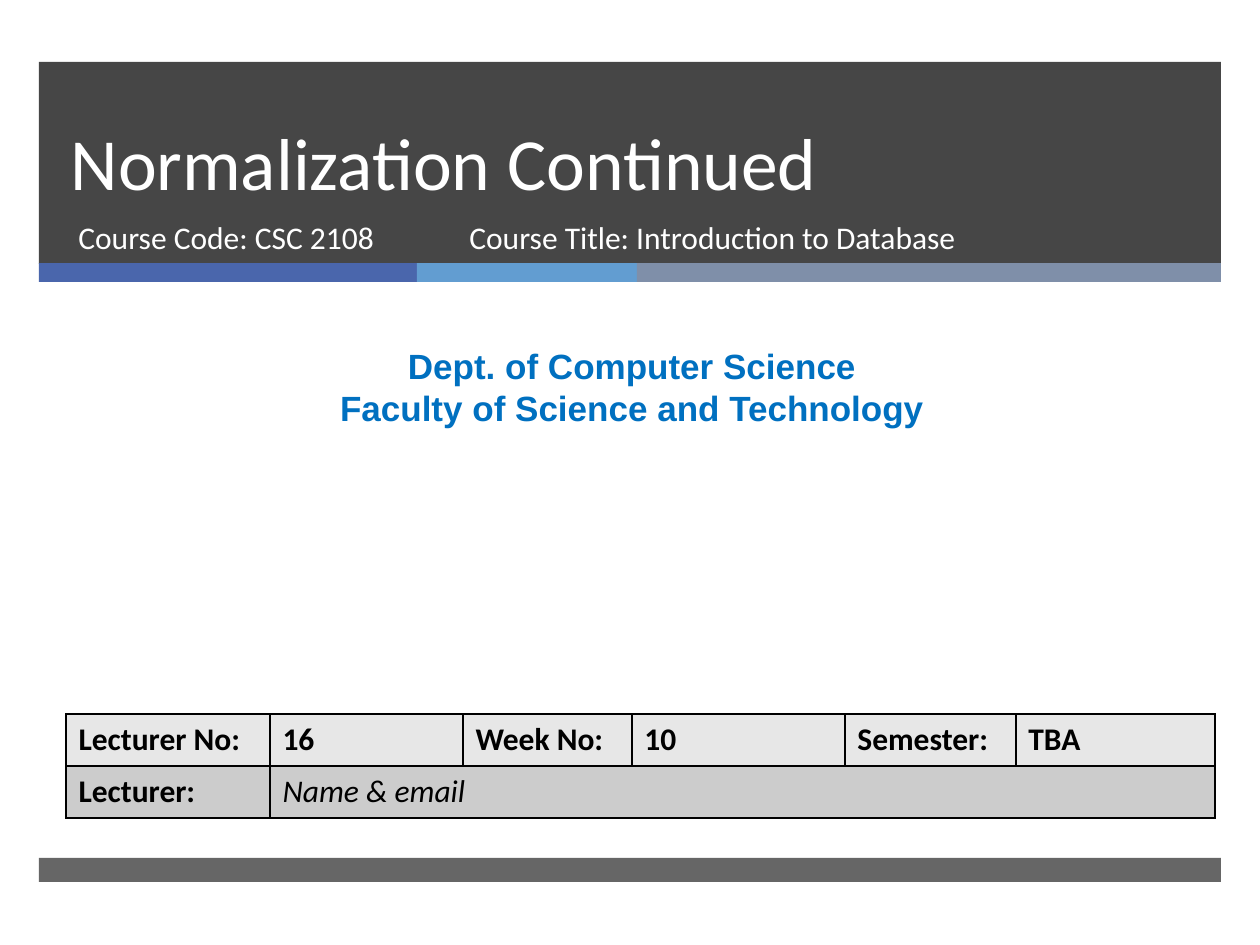
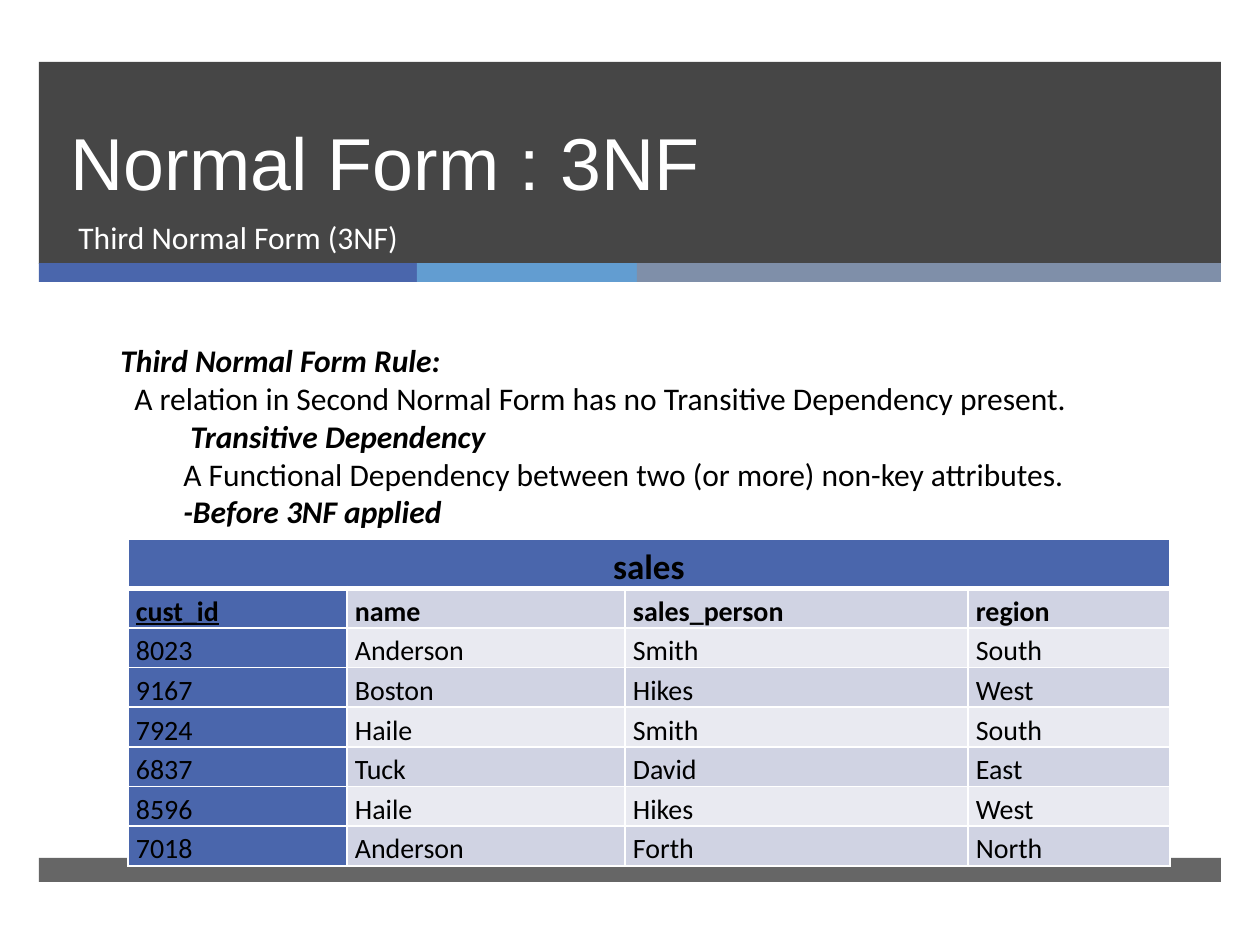
from dataclasses import dataclass
from typing import Optional

from lxml.etree import SubElement
from pptx import Presentation
from pptx.dml.color import RGBColor
from pptx.enum.shapes import MSO_SHAPE as Shape
from pptx.enum.text import MSO_ANCHOR as Anchor, MSO_AUTO_SIZE as AutoSize, PP_ALIGN as Align
from pptx.oxml import parse_xml
from pptx.oxml.ns import nsdecls, qn
from pptx.util import Emu, Pt

PX = 914400 // 126
BODY_FONT, ALT_FONT = "Calibri", "Arial"
WHITE, BLACK, DARK = "FFFFFF", "000000", "262626"
BLUE, SKY, SLATE, DEPT_BLUE = "4A66AC", "629DD1", "7F8FA9", "0070C0"
LIGHT_GREY, MID_GREY = "E7E7E7", "CCCCCC"
BAND_ODD, BAND_EVEN = "D0D3E3", "E9EAF1"


@dataclass
class Bar:
    """A filled rectangle, in pixels."""
    x: int
    y: int
    w: int
    h: int
    fill: str
    opacity: int = 100


@dataclass
class Text:
    """One paragraph holding one formatted run."""
    text: str
    size: int = 18
    color: str = BLACK
    font: str = BODY_FONT
    bold: bool = False
    italic: bool = False
    underline: bool = False
    align: Align = Align.LEFT
    indent: int = 0


@dataclass
class Cell:
    """A table cell: its text, fill and bottom border width in points."""
    text: Text
    fill: str
    bottom: int = 1


BARS = [
    Bar(39, 62, 1182, 202, DARK, 85),
    Bar(39, 263, 378, 19, BLUE),
    Bar(417, 263, 220, 19, SKY),
    Bar(637, 263, 584, 19, SLATE),
    Bar(39, 858, 1182, 24, DARK, 70),
]


def px(n: int) -> Emu:
    """Turn picture pixels into EMU."""
    return Emu(n * PX)


def rgb(color: str) -> RGBColor:
    """Turn a hex string into a colour."""
    return RGBColor.from_string(color)


def write(p, t: Text) -> None:
    """Fill a paragraph with one run."""
    p.alignment = t.align
    if t.indent:
        pPr = p._p.get_or_add_pPr()
        pPr.set("marL", str(px(t.indent)))
        pPr.set("indent", "0")
    r = p.add_run()
    r.text = t.text
    f = r.font
    f.name, f.size = t.font, Pt(t.size)
    f.bold, f.italic, f.underline = t.bold, t.italic, t.underline
    f.color.rgb = rgb(t.color)


def add_bar(s, bar: Bar) -> None:
    """Draw one rectangle without outline."""
    sp = s.shapes.add_shape(Shape.RECTANGLE, px(bar.x), px(bar.y), px(bar.w), px(bar.h))
    sp.shadow.inherit = False
    sp.line.fill.background()
    sp.fill.solid()
    sp.fill.fore_color.rgb = rgb(bar.fill)
    if bar.opacity < 100:
        clr = sp.element.spPr.find(qn("a:solidFill")).find(qn("a:srgbClr"))
        SubElement(clr, qn("a:alpha")).set("val", str(bar.opacity * 1000))


def add_text(s, x: int, y: int, w: int, h: int, lines: list[Text]) -> None:
    """Add a wrapping text box with one paragraph a line."""
    tf = s.shapes.add_textbox(px(x), px(y), px(w), px(h)).text_frame
    tf.word_wrap = True
    for i, t in enumerate(lines):
        write(tf.add_paragraph() if i else tf.paragraphs[0], t)


def add_slide(prs, title: str, font: str):
    """Add a slide with the shared bars and a title in the dark band."""
    s = prs.slides.add_slide(prs.slide_layouts[5])
    for bar in BARS:
        add_bar(s, bar)
    sp = s.shapes.title
    sp.element.getparent().append(sp.element)
    sp.left, sp.top, sp.width, sp.height = px(58), px(62), px(1076), px(150)
    tf = sp.text_frame
    tf.word_wrap, tf.auto_size = True, AutoSize.NONE
    tf.vertical_anchor = Anchor.BOTTOM
    p = tf.paragraphs[0]
    p.line_spacing = Pt(46)
    write(p, Text(title, 42, WHITE, font))
    return s


def set_borders(cell, color: str, bottom: int) -> None:
    """Give a cell four solid borders, 1 pt except the bottom one."""
    tcPr = cell._tc.get_or_add_tcPr()
    for i, side in enumerate("LRTB"):
        width = Pt(bottom if side == "B" else 1)
        tcPr.insert(i, parse_xml(
            f'<a:ln{side} {nsdecls("a")} w="{width}"><a:solidFill>'
            f'<a:srgbClr val="{color}"/></a:solidFill></a:ln{side}>'))


def add_grid(s, x: int, y: int, h: int, cols: list[int], heights: list[int],
             rows: list[list[Optional[Cell]]], border: str, compact: bool = False) -> None:
    """Add a table; None marks a cell merged into the one on its left."""
    frame = s.shapes.add_table(len(rows), len(cols), px(x), px(y), px(sum(cols)), px(h))
    table = frame.table
    table.first_row = table.horz_banding = False
    for col, w in zip(table.columns, cols):
        col.width = px(w)
    for row, height in zip(table.rows, heights):
        row.height = px(height)
    frame.height = px(h)
    for i, row in enumerate(rows):
        for j, spec_cell in enumerate(row):
            cell = table.cell(i, j)
            if spec_cell is None:
                set_borders(cell, border, last.bottom)
                continue
            last = spec_cell
            span = j + 1
            while span < len(row) and row[span] is None:
                span += 1
            if span > j + 1:
                cell.merge(table.cell(i, span - 1))
            cell.fill.solid()
            cell.fill.fore_color.rgb = rgb(last.fill)
            set_borders(cell, border, last.bottom)
            p = cell.text_frame.paragraphs[0]
            write(p, last.text)
            if compact:
                cell.margin_left = cell.margin_right = px(8)
                cell.margin_top, cell.margin_bottom = px(1), 0
                cell.vertical_anchor = Anchor.MIDDLE
                p.line_spacing, p.space_after = 1.15, Pt(10)


def build_cover(prs) -> None:
    """Build the course cover slide."""
    s = add_slide(prs, "Normalization Continued", BODY_FONT)
    add_text(s, 66, 212, 384, 67, [Text("Course Code: CSC 2108", color=WHITE)])
    dept = ["Dept. of Computer Science", "Faculty of Science and Technology"]
    add_text(s, 10, 338, 1244, 97,
             [Text(d, 20, DEPT_BLUE, ALT_FONT, bold=True, align=Align.CENTER) for d in dept])
    labels = ["Lecturer No:", "16", "Week No:", "10", "Semester:", "TBA"]
    rows = [
        [Cell(Text(label, bold=True), LIGHT_GREY) for label in labels],
        [Cell(Text("Lecturer:", bold=True), MID_GREY),
         Cell(Text("Name & email", italic=True), MID_GREY)] + [None] * 4,
    ]
    add_grid(s, 66, 714, 104, [204, 193, 169, 213, 171, 199], [52, 52], rows, BLACK)
    add_text(s, 457, 212, 573, 67,
             [Text("Course Title: Introduction to Database", color=WHITE)])


def build_third_form(prs) -> None:
    """Build the 3NF slide with its sales table."""
    s = add_slide(prs, "Normal Form : 3NF", ALT_FONT)
    add_text(s, 66, 212, 1068, 67, [Text("Third Normal Form (3NF)", color=WHITE)])
    add_text(s, 108, 335, 1062, 204, [
        Text("Third Normal Form Rule:", bold=True, italic=True),
        Text("A relation in Second Normal Form has no Transitive Dependency present.", indent=14),
        Text("Transitive Dependency", bold=True, italic=True, indent=70),
        Text("A Functional Dependency between two (or more) non-key attributes.", indent=63),
        Text("-Before 3NF applied", bold=True, italic=True, indent=63),
    ])
    sales = [
        ["cust_id", "name", "sales_person", "region"],
        ["8023", "Anderson", "Smith", "South"],
        ["9167", "Boston", "Hikes", "West"],
        ["7924", "Haile", "Smith", "South"],
        ["6837", "Tuck", "David", "East"],
        ["8596", "Haile", "Hikes", "West"],
        ["7018", "Anderson", "Forth", "North"],
    ]
    rows = [[Cell(Text("sales", 20, bold=True, align=Align.CENTER), BLUE, 3)] + [None] * 3]
    for i, record in enumerate(sales):
        band = BAND_EVEN if i % 2 else BAND_ODD
        rows.append([Cell(Text(value, 16, bold=i == 0, underline=i == j == 0),
                          band if j else BLUE) for j, value in enumerate(record)])
    add_grid(s, 128, 539, 326, [219, 278, 343, 202], [36] * 7 + [34], rows, WHITE, compact=True)


def main() -> None:
    """Build and save the deck."""
    prs = Presentation()
    prs.slide_width, prs.slide_height = px(1260), px(945)
    build_cover(prs)
    build_third_form(prs)
    prs.save("out.pptx")


main()
